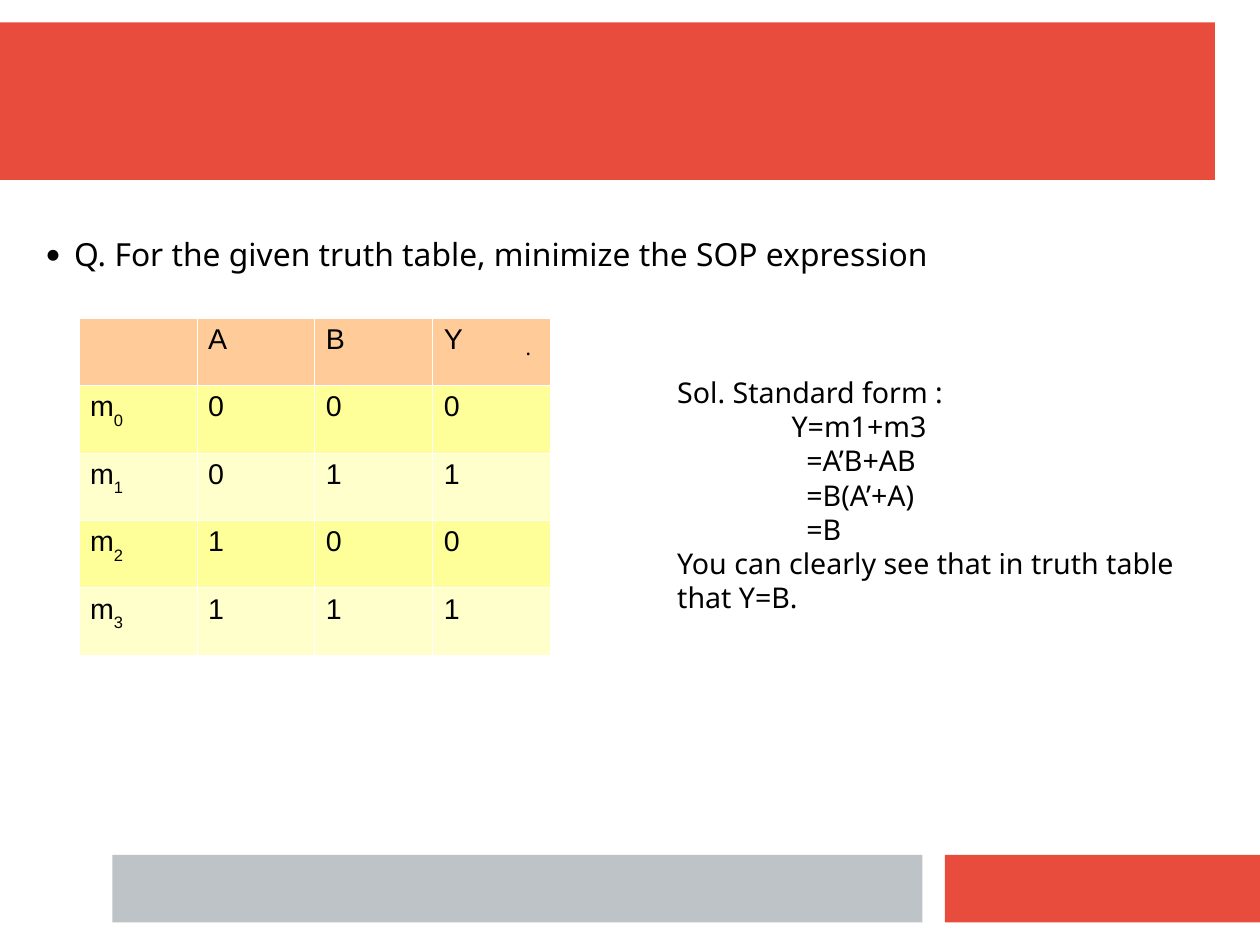
from dataclasses import dataclass

from lxml import etree
from pptx import Presentation, util as u
from pptx.dml.color import RGBColor
from pptx.enum import shapes
from pptx.oxml import ns

COLUMNS, ROWS = 28, 21
RED = RGBColor(0xE7, 0x4C, 0x3C)
GREY = RGBColor(0xBD, 0xC3, 0xC7)
BLACK = RGBColor(0, 0, 0)
ORANGE = RGBColor(0xFF, 0xCC, 0x99)
YELLOW = RGBColor(0xFF, 0xFF, 0x99)
CREAM = RGBColor(0xFF, 0xFF, 0xCC)
WHITE = RGBColor(0xFF, 0xFF, 0xFF)

prs = Presentation()
prs.slide_width, prs.slide_height = u.Pt(793.75), u.Pt(595.25)
s = prs.slides.add_slide(prs.slide_layouts[6])


@dataclass(frozen=True)
class Area:
    column: float
    row: float
    columns: float
    rows: float

    def box(self) -> tuple[int, int, int, int]:
        x, y = prs.slide_width / COLUMNS, prs.slide_height / ROWS
        return (round(self.column * x), round(self.row * y),
                round(self.columns * x), round(self.rows * y))


@dataclass(frozen=True)
class Bar:
    area: Area
    color: RGBColor


@dataclass(frozen=True)
class Line:
    words: str
    indent: float = 0
    hanging: float = 0


@dataclass(frozen=True)
class Note:
    area: Area
    size: int
    lines: tuple[Line, ...]


def add_bar(bar: Bar) -> None:
    sp = s.shapes.add_shape(shapes.MSO_SHAPE.RECTANGLE, *bar.area.box())
    sp.shadow.inherit = False
    sp.fill.solid()
    sp.fill.fore_color.rgb = bar.color
    sp.line.fill.background()


def style_run(r, size: int, font: str, baseline: int = 0) -> None:
    r.font.size = u.Pt(size)
    r.font.name = font
    r.font.color.rgb = BLACK
    if baseline:
        r.font._element.set("baseline", str(baseline))


def add_color(parent, color: RGBColor) -> None:
    etree.SubElement(parent, ns.qn("a:srgbClr"), val=str(color))


def add_bullet(p) -> None:
    pPr = p._p.get_or_add_pPr()
    add_color(etree.SubElement(pPr, ns.qn("a:buClr")), BLACK)
    etree.SubElement(pPr, ns.qn("a:buSzPct"), val="45000")
    etree.SubElement(pPr, ns.qn("a:buFont"), typeface="Noto Sans")
    etree.SubElement(pPr, ns.qn("a:buChar"), char="●")


def add_note(note: Note, baseline: int = 0) -> None:
    tf = s.shapes.add_textbox(*note.area.box()).text_frame
    tf.word_wrap = True
    for i, line in enumerate(note.lines):
        p = tf.add_paragraph() if i else tf.paragraphs[0]
        p.text = line.words
        pPr = p._p.get_or_add_pPr()
        pPr.set("marL", str(u.Inches(line.indent)))
        pPr.set("indent", str(-u.Inches(line.hanging)))
        if line.hanging:
            add_bullet(p)
        style_run(p.runs[0], note.size, "Noto Sans", baseline)


def add_borders(cell) -> None:
    tcPr = cell._tc.get_or_add_tcPr()
    for i, side in enumerate(("lnL", "lnR", "lnT", "lnB")):
        ln = etree.Element(ns.qn(f"a:{side}"), w=str(u.Pt(0.06)))
        add_color(etree.SubElement(ln, ns.qn("a:solidFill")), WHITE)
        tcPr.insert(i, ln)


def add_truth_table(area: Area, header: list[str], rows: list[list[str]]) -> None:
    values = [header, *rows]
    table = s.shapes.add_table(len(values), len(header), *area.box()).table
    for i, row in enumerate(values):
        for j, value in enumerate(row):
            cell = table.cell(i, j)
            cell.fill.solid()
            cell.fill.fore_color.rgb = ORANGE if i == 0 else YELLOW if i % 2 else CREAM
            add_borders(cell)
            p = cell.text_frame.paragraphs[0]
            for part, baseline in ((value[:1], 0), (value[1:], -33000)):
                if part:
                    r = p.add_run()
                    r.text = part
                    style_run(r, 18, "Arial", baseline)
                    r.font.bold = False


BARS = (
    Bar(Area(0, 0.5, 27, 3.5), RED),
    Bar(Area(21, 19, 7, 1.5), RED),
    Bar(Area(2.5, 19, 18, 1.5), GREY),
)
QUESTION = Note(Area(0.79, 5.1, 26.2, 1.5), 20, (
    Line("Q. For the given truth table, minimize the SOP expression", 0.24, 0.24),
))
DOT = Note(Area(11.43, 7.25, 0.65, 1.15), 22, (Line("."),))
SOLUTION = Note(Area(14.8, 8.2, 12, 5.4), 18, (
    Line("Sol. Standard form :"),
    Line("Y=m1+m3", 1),
    Line("=A’B+AB", 1.13),
    Line("=B(A’+A)", 1.13),
    Line("=B", 1.13),
    Line("You can clearly see that in truth table that Y=B."),
))
MINTERMS = [[f"m{m}", str(m // 2), str(m % 2), str(m % 2)] for m in range(4)]

for bar in BARS:
    add_bar(bar)
add_truth_table(Area(1.75, 7.06, 10.48, 7.5), ["", "A", "B", "Y"], MINTERMS)
add_note(QUESTION)
add_note(DOT, 33000)
add_note(SOLUTION)
prs.save("out.pptx")
